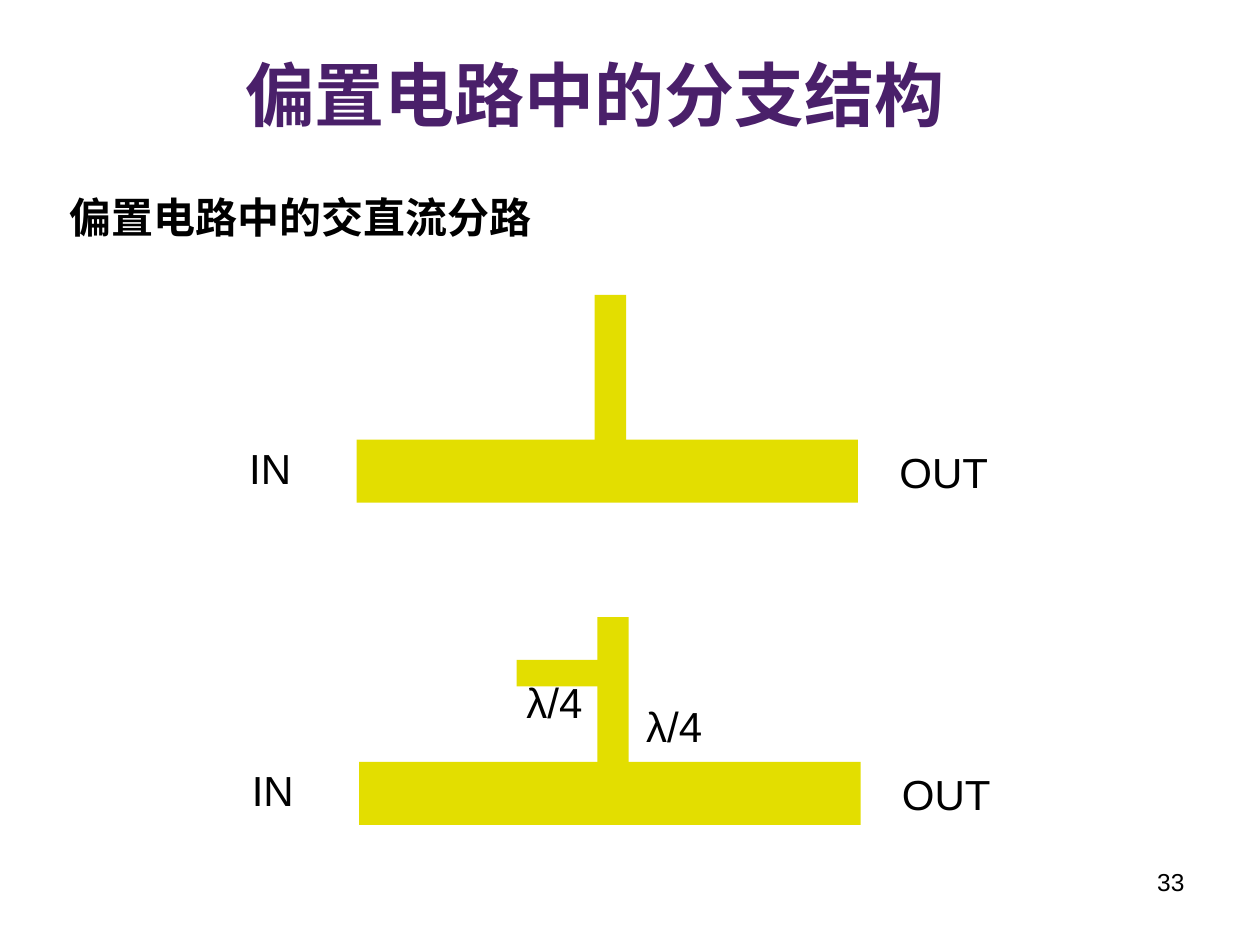
from dataclasses import dataclass

from lxml.etree import SubElement
from pptx import Presentation
from pptx.dml.color import RGBColor
from pptx.enum.shapes import MSO_SHAPE
from pptx.enum.text import MSO_ANCHOR, MSO_AUTO_SIZE, PP_ALIGN
from pptx.oxml.ns import qn
from pptx.util import Inches, Pt


@dataclass(frozen=True)
class Theme:
    latin: str = "Arial"
    cjk: str = "Noto Sans CJK SC"
    title: str = "4A206A"
    text: str = "000000"
    strip: str = "E3DE00"
    title_size: int = 40
    body_size: int = 24
    number_size: int = 14


T = Theme()
W, H = 10, 7.5


def place(sp, x, y, w, h):
    sp.left, sp.top, sp.width, sp.height = map(Inches, (x, y, w, h))


def write(sp, text, size, font=T.latin, color=T.text, bold=False,
          align=PP_ALIGN.LEFT, anchor=MSO_ANCHOR.MIDDLE):
    tf = sp.text_frame
    tf.word_wrap = True
    tf.auto_size = MSO_AUTO_SIZE.NONE
    tf.vertical_anchor = anchor
    p = tf.paragraphs[0]
    p.alignment = align
    p.space_before = Pt(0)
    r = p.add_run()
    r.text = text
    r.font.size, r.font.bold, r.font.name = Pt(size), bold, font
    r.font.color.rgb = RGBColor.from_string(color)
    if font == T.cjk:
        SubElement(r.font._element, qn("a:ea")).set("typeface", font)
    return p


def add_strip(shapes, x, y, w, h):
    sp = shapes.add_shape(MSO_SHAPE.RECTANGLE, *map(Inches, (x, y, w, h)))
    sp.shadow.inherit = False
    sp.fill.solid()
    sp.fill.fore_color.rgb = RGBColor.from_string(T.strip)
    sp.line.fill.background()


def add_label(shapes, text, x, y, w, h=0.5, size=T.body_size, **style):
    sp = shapes.add_textbox(*map(Inches, (x, y, w, h)))
    write(sp, text, size, **style)


def add_header(s):
    title, body = s.shapes.title, s.placeholders[1]
    place(title, 0.093 * W, 0.048 * H, 0.758 * W, 0.103 * H)
    write(title, "偏置电路中的分支结构", T.title_size, T.cjk, T.title, True,
          PP_ALIGN.CENTER)
    place(body, 0.045 * W, 0.196 * H, 0.875 * W, 0.067 * H)
    p = write(body, "偏置电路中的交直流分路", T.body_size, T.cjk, bold=True)
    pPr = p._p.get_or_add_pPr()
    pPr.set("marL", "0")
    pPr.set("indent", "0")
    SubElement(pPr, qn("a:buNone"))


def add_circuit(s, x, y, stub=False):
    """Main line with a vertical branch, and optionally a quarter-wave stub."""
    shapes = s.shapes.add_group_shape().shapes
    line_x, line_y = x + 0.95, y + 1.15
    add_strip(shapes, line_x, line_y, 3.98, 0.5)
    add_strip(shapes, line_x + 1.89, y, 0.25, 1.29)
    add_label(shapes, "IN", x, line_y - 0.03, 0.63)
    add_label(shapes, "OUT", x + 5.16, line_y, 0.95)
    if stub:
        add_strip(shapes, line_x + 1.25, y + 0.34, 0.84, 0.21)
        for dx, dy in ((2.18, 0.61), (1.23, 0.42)):
            add_label(shapes, "λ/4", line_x + dx, y + dy, 0.83)


def add_page_number(s, number):
    add_label(s.shapes, number, 0.717 * W, 0.911 * H, 0.233 * W, 0.069 * H,
              T.number_size, align=PP_ALIGN.RIGHT, anchor=MSO_ANCHOR.TOP)


def main():
    prs = Presentation()
    prs.slide_width, prs.slide_height = Inches(W), Inches(H)
    s = prs.slides.add_slide(prs.slide_layouts[1])
    add_header(s)
    add_circuit(s, 0.188 * W, 0.312 * H)
    add_circuit(s, 0.19 * W, 0.653 * H, stub=True)
    add_page_number(s, "33")
    prs.save("out.pptx")


if __name__ == "__main__":
    main()
